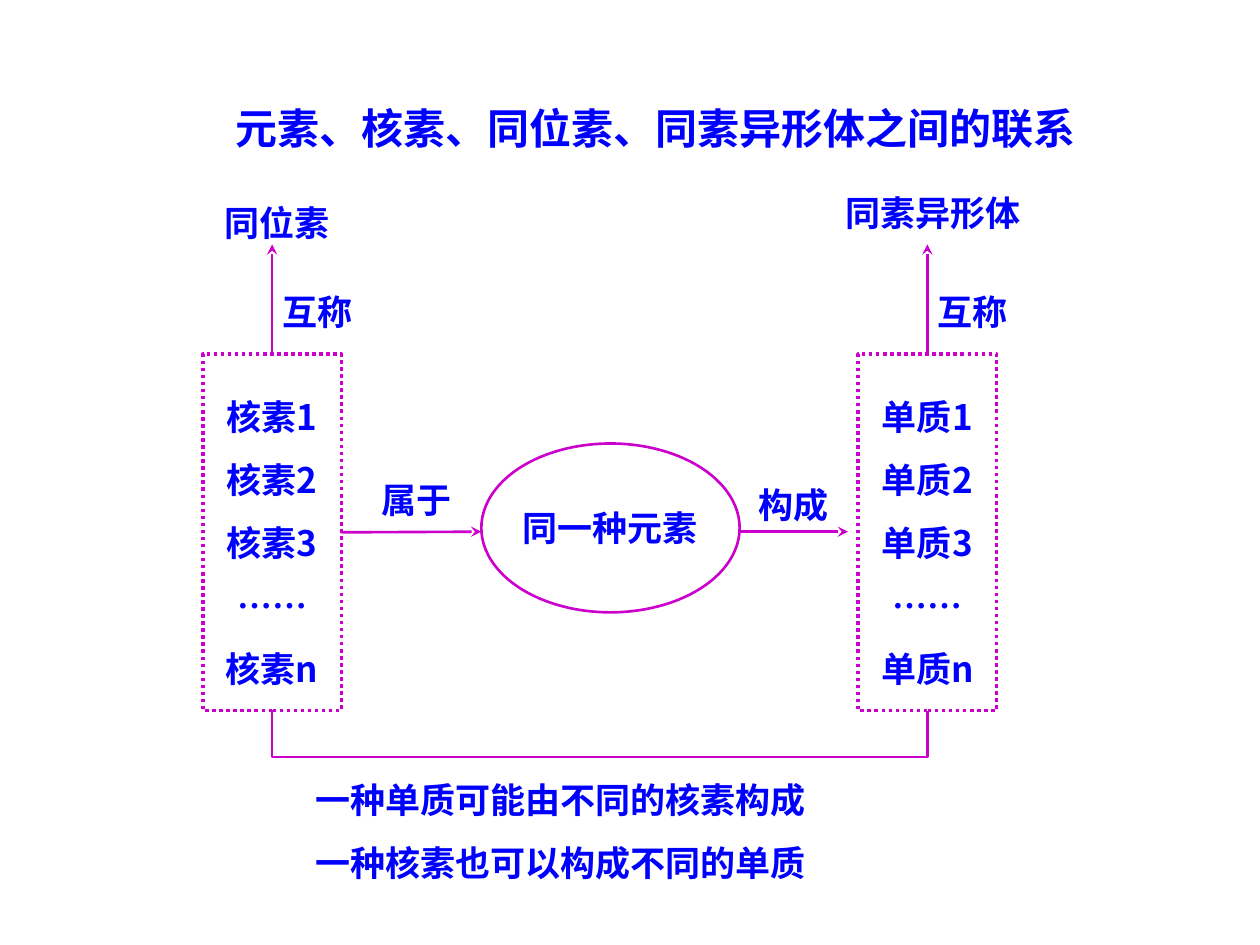
from lxml import etree
from pptx import Presentation
from pptx.dml.color import RGBColor
from pptx.enum.dml import MSO_LINE
from pptx.enum.shapes import MSO_CONNECTOR, MSO_SHAPE
from pptx.enum.text import MSO_ANCHOR, PP_ALIGN
from pptx.oxml.ns import qn
from pptx.util import Inches, Pt

RECTANGLE, ELLIPSE = MSO_SHAPE.RECTANGLE, MSO_SHAPE.OVAL
STRAIGHT, ELBOW = MSO_CONNECTOR.STRAIGHT, MSO_CONNECTOR.ELBOW
CENTER, LEFT = PP_ALIGN.CENTER, PP_ALIGN.LEFT
TOP, MIDDLE = MSO_ANCHOR.TOP, MSO_ANCHOR.MIDDLE
DOTTED = MSO_LINE.ROUND_DOT
SIDE_TOP, SIDE_RIGHT = 0, 3
COLUMNS = 100


def color(value):
    return RGBColor.from_string(value)


class Diagram:
    text_color = "0000FF"
    line_color = "CC00CC"
    latin = "Arial"
    east_asian = "Noto Sans CJK SC"

    def __init__(self, presentation):
        self.slide = presentation.slides.add_slide(presentation.slide_layouts[1])
        self.unit = presentation.slide_width / COLUMNS

    def grid(self, *lengths):
        return [round(length * self.unit) for length in lengths]

    def fill_text(self, shape, lines, size=20, align=CENTER, anchor=TOP,
                  spacing=1.0, wrap=True, font=None):
        frame = shape.text_frame
        frame.text = "\n".join(lines)
        frame.word_wrap = wrap
        frame.vertical_anchor = anchor
        for paragraph in frame.paragraphs:
            paragraph.alignment = align
            paragraph.line_spacing = spacing
            paragraph.space_before = Pt(0)
            for run in paragraph.runs:
                run.font.size = Pt(size)
                run.font.bold = True
                run.font.name = font or self.latin
                run.font.color.rgb = color(self.text_color)
                properties = run._r.get_or_add_rPr()
                etree.SubElement(properties, qn("a:ea"), typeface=self.east_asian)

    def placeholder(self, index, box, lines, **style):
        shape = self.slide.placeholders[index]
        shape.left, shape.top, shape.width, shape.height = self.grid(*box)
        self.fill_text(shape, lines, **style)
        for paragraph in shape.text_frame.paragraphs:
            properties = paragraph._p.get_or_add_pPr()
            properties.set("marL", "0")
            properties.set("indent", "0")
            etree.SubElement(properties, qn("a:buNone"))

    def label(self, box, text):
        self.fill_text(self.slide.shapes.add_textbox(*self.grid(*box)), [text])

    def outline(self, kind, box, lines, width, dash=None, **style):
        shape = self.slide.shapes.add_shape(kind, *self.grid(*box))
        shape.shadow.inherit = False
        shape.fill.background()
        shape.line.color.rgb = color(self.line_color)
        shape.line.width = Pt(width)
        if dash:
            shape.line.dash_style = dash
        self.fill_text(shape, lines, anchor=MIDDLE, wrap=False, **style)
        return shape

    def connector(self, kind, points):
        connector = self.slide.shapes.add_connector(kind, *self.grid(*points))
        connector.line.color.rgb = color(self.line_color)
        connector.line.width = Pt(1.5)
        etree.SubElement(connector._element.spPr, qn("a:effectLst"))
        return connector

    def arrow(self, points, source=None, side=SIDE_TOP):
        connector = self.connector(STRAIGHT, points)
        if source:
            connector.begin_connect(source, side)
        line = connector._element.spPr.find(qn("a:ln"))
        etree.SubElement(line, qn("a:tailEnd"), type="stealth")

    def bracket(self, left, right, top, depth):
        middle, half, thin = (left + right) / 2, (right - left) / 2, 0.05
        connector = self.connector(
            ELBOW, (middle + thin, top - half, middle - thin, top + half))
        properties = connector._element.spPr
        properties.find(qn("a:xfrm")).set("rot", str(270 * 60000))
        geometry = properties.find(qn("a:prstGeom"))
        adjustments = geometry.find(qn("a:avLst"))
        if adjustments is None:
            adjustments = etree.SubElement(geometry, qn("a:avLst"))
        share = round(depth / (2 * thin) * 100000)
        etree.SubElement(adjustments, qn("a:gd"), name="adj1", fmla=f"val {share}")


def main():
    presentation = Presentation()
    presentation.slide_width, presentation.slide_height = Inches(10), Inches(7.5)
    diagram = Diagram(presentation)

    diagram.placeholder(0, (14.6, 7.6, 74.8, 5), ["元素、核素、同位素、同素异形体之间的联系"], size=24)
    diagram.placeholder(1, (24, 59.6, 50.4, 11),
                        ["一种单质可能由不同的核素构成", "一种核素也可以构成不同的单质"],
                        align=LEFT, spacing=1.5)

    box_top, box_width, box_height = 28.1, 11, 28.3
    boxes = []
    for left, name in ((16.1, "核素"), (68.1, "单质")):
        lines = [f"{name}{ending}" for ending in "123"] + ["……", f"{name}n"]
        box = diagram.outline(RECTANGLE, (left, box_top, box_width, box_height), lines, 2,
                              DOTTED, spacing=1.5, font=diagram.east_asian)
        center = left + box_width / 2
        diagram.arrow((center, box_top, center, 19.4), box, SIDE_TOP)
        diagram.label((left + 2.4, 22.6, 13.4, 4.4), "互称")
        boxes.append((box, center))
    (nuclides, left_center), (_, right_center) = boxes

    diagram.outline(ELLIPSE, (38.2, 35.2, 20.5, 13.4), ["同一种元素"], 1.5)
    diagram.arrow((27.1, 42.2, 38.2, 42.2), nuclides, SIDE_RIGHT)
    diagram.arrow((58.7, 42.2, 67.3, 42.2))
    diagram.bracket(left_center, right_center, box_top + box_height, 3.8)

    for box, text in (((15.3, 15.5, 13.4, 4.4), "同位素"),
                      ((63.4, 14.7, 21.3, 4.4), "同素异形体"),
                      ((28.7, 37.5, 8.7, 4.4), "属于"),
                      ((57.1, 37.9, 11.8, 4.4), "构成")):
        diagram.label(box, text)

    presentation.save("out.pptx")


if __name__ == "__main__":
    main()
